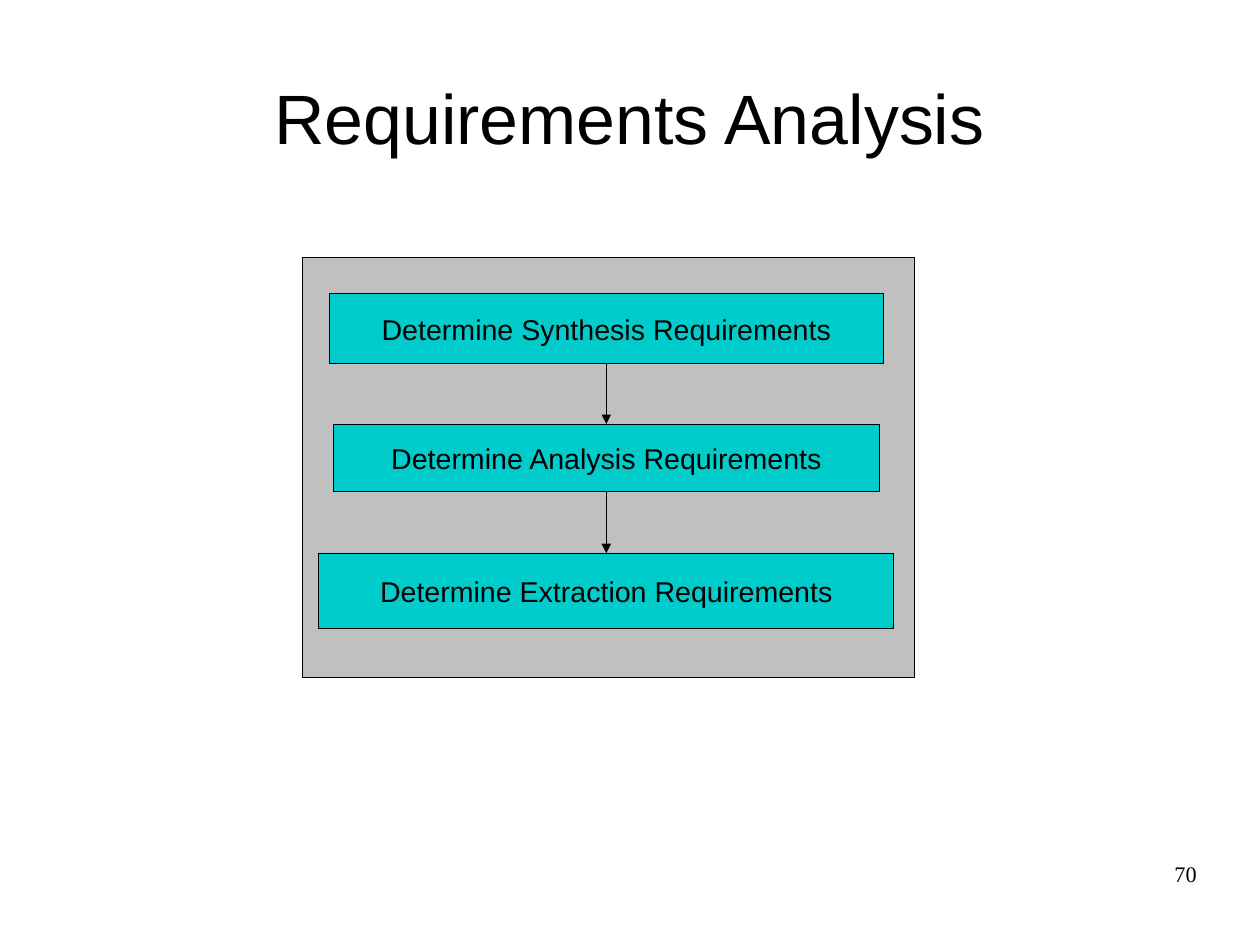
from dataclasses import dataclass
from itertools import pairwise

from lxml.etree import SubElement
from pptx import Presentation
from pptx.dml.color import RGBColor
from pptx.enum.shapes import MSO_CONNECTOR as Connector, MSO_SHAPE as Shape
from pptx.enum.text import MSO_ANCHOR as Anchor, PP_ALIGN as Align
from pptx.oxml.ns import qn
from pptx.util import Inches, Pt


@dataclass(frozen=True)
class Theme:
    ink: RGBColor = RGBColor(0, 0, 0)
    panel: RGBColor = RGBColor(0xC0, 0xC0, 0xC0)
    step: RGBColor = RGBColor(0, 0xCC, 0xCC)
    sans: str = "Arial"
    serif: str = "Times New Roman"
    title_size: int = 44
    step_size: int = 18
    number_size: int = 14
    hairline: str = "0"


THEME = Theme()
CM_PER_INCH = 2.54
STEPS = [
    ("Determine Synthesis Requirements", 0.32, 4.85, 0.61),
    ("Determine Analysis Requirements", 1.46, 4.78, 0.59),
    ("Determine Extraction Requirements", 2.59, 5.03, 0.66),
]


def write(frame, text, font, size, align, anchor):
    frame.word_wrap = True
    frame.vertical_anchor = anchor
    paragraph = frame.paragraphs[0]
    paragraph.text = text
    paragraph.alignment = align
    paragraph.font.name = font
    paragraph.font.size = Pt(size)
    paragraph.font.color.rgb = THEME.ink


def add_label(slide, box, text, font, size, align, anchor):
    frame = slide.shapes.add_textbox(*map(Inches, box)).text_frame
    frame.margin_left = frame.margin_right = 0
    frame.margin_top = frame.margin_bottom = 0
    write(frame, text, font, size, align, anchor)


def draw_hairline(line):
    line.color.rgb = THEME.ink
    outline = line._get_or_add_ln()
    outline.set("w", THEME.hairline)
    return outline


def add_block(slide, box, fill):
    block = slide.shapes.add_shape(Shape.RECTANGLE, *map(Inches, box))
    block.shadow.inherit = False
    block.fill.solid()
    block.fill.fore_color.rgb = fill
    draw_hairline(block.line)
    return block


def add_arrow(slide, upper, lower):
    arrow = slide.shapes.add_connector(Connector.STRAIGHT, 0, 0, 0, 0)
    arrow.begin_connect(upper, 2)
    arrow.end_connect(lower, 0)
    arrow.end_x = arrow.begin_x
    outline = draw_hairline(arrow.line)
    SubElement(outline, qn("a:tailEnd"), type="triangle")
    SubElement(arrow._element.spPr, qn("a:effectLst"))


def add_flow(slide, box):
    left, top, width, height = box
    add_block(slide, box, THEME.panel)
    axis = left + width / 2 - 0.02
    blocks = []
    for text, offset, step_width, step_height in STEPS:
        step_box = (axis - step_width / 2, top + offset, step_width, step_height)
        block = add_block(slide, step_box, THEME.step)
        write(block.text_frame, text, THEME.sans, THEME.step_size,
              Align.CENTER, Anchor.MIDDLE)
        blocks.append(block)
    for upper, lower in pairwise(blocks):
        add_arrow(slide, upper, lower)


def main():
    deck = Presentation()
    deck.slide_width = Inches(28 / CM_PER_INCH)
    deck.slide_height = Inches(21 / CM_PER_INCH)
    slide = deck.slides.add_slide(deck.slide_layouts[6])
    add_flow(slide, (2.65, 2.25, 5.35, 3.68))
    add_label(slide, (0.55, 0.33, 9.92, 1.38), "Requirements Analysis",
              THEME.sans, THEME.title_size, Align.CENTER, Anchor.MIDDLE)
    add_label(slide, (7.9, 7.53, 2.57, 0.57), "70",
              THEME.serif, THEME.number_size, Align.RIGHT, Anchor.TOP)
    deck.save("out.pptx")


if __name__ == "__main__":
    main()
